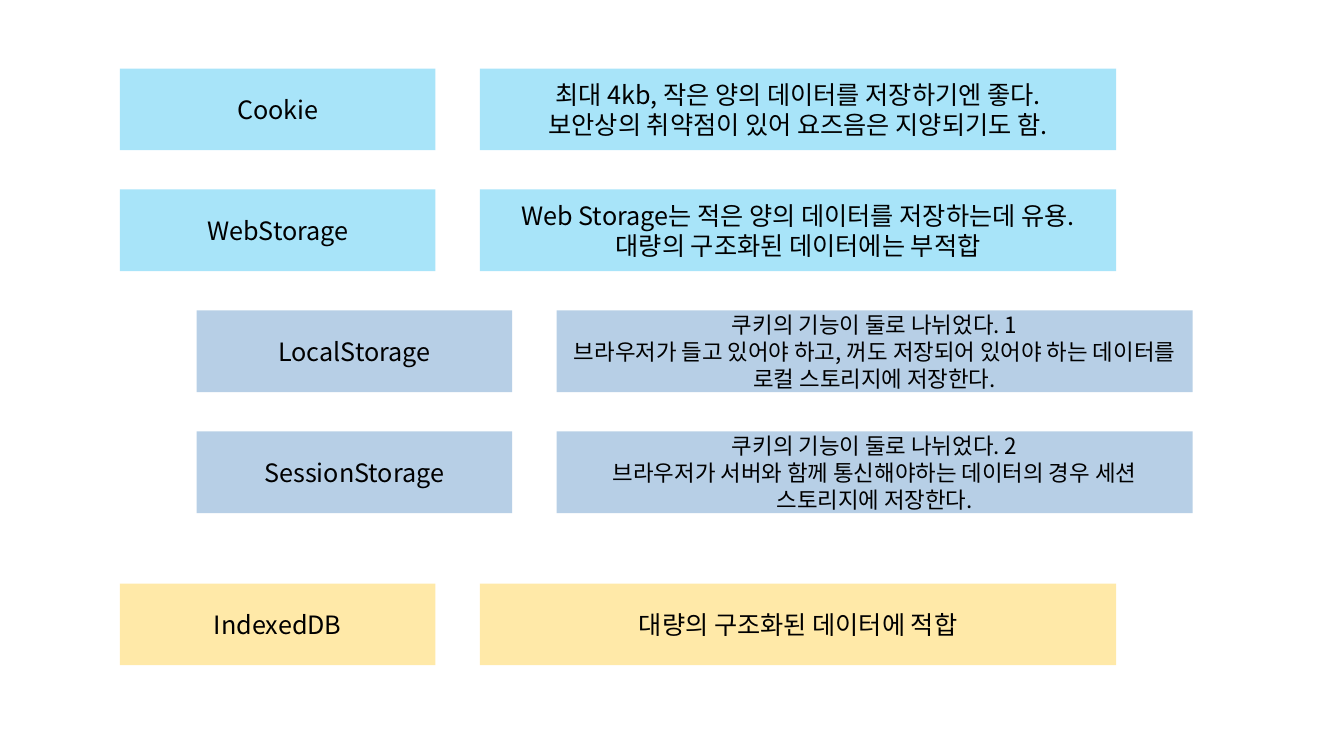
import pptx
import pptx.util
import pptx.dml.color
import pptx.enum.shapes
import pptx.enum.text
import pptx.oxml.ns
from dataclasses import dataclass
from lxml import etree
from pptx.util import Inches


@dataclass(frozen=True)
class Theme:
    font: str = "Noto Sans CJK KR"
    text: str = "000000"
    basic: str = "00B0F0"
    web: str = "2E75B6"
    database: str = "FFC000"
    alpha: int = 34
    body: int = 18
    small: int = 16


THEME = Theme()
NAME_WIDTH, NOTE_WIDTH, ROW_HEIGHT = 3.13, 6.31, 0.81
COLUMN_GAP, ROW_PITCH, INDENT = 0.44, 1.2, 0.76
LEFT, TOP, DATABASE_TOP = 1.19, 0.68, 5.79


def rgb(value):
    return pptx.dml.color.RGBColor.from_string(value)


def add_child(parent, tag, **attributes):
    child = etree.SubElement(parent, pptx.oxml.ns.qn(tag))
    for key, value in attributes.items():
        child.set(key, str(value))


def add_box(slide, box, paragraphs, color, size):
    sp = slide.shapes.add_shape(
        pptx.enum.shapes.MSO_SHAPE.RECTANGLE, *map(Inches, box))
    sp.shadow.inherit = False
    sp.line.fill.background()
    sp.fill.solid()
    sp.fill.fore_color.rgb = rgb(color)
    fill = sp._element.spPr.find(pptx.oxml.ns.qn("a:solidFill"))
    add_child(fill[0], "a:alpha", val=THEME.alpha * 1000)
    tf = sp.text_frame
    tf.word_wrap = True
    tf.vertical_anchor = pptx.enum.text.MSO_ANCHOR.MIDDLE
    font_format = {"name": THEME.font, "size": pptx.util.Pt(size)}
    for i, text in enumerate(paragraphs):
        p = tf.add_paragraph() if i else tf.paragraphs[0]
        p.text = text
        p.alignment = pptx.enum.text.PP_ALIGN.CENTER
        for r in p.runs:
            for key, value in font_format.items():
                setattr(r.font, key, value)
            r.font.color.rgb = rgb(THEME.text)
            add_child(r.font._element, "a:ea", typeface=THEME.font)


def add_storage_row(slide, box, name, notes, color, note_size):
    left, top, width, height = box
    note_left = left + NAME_WIDTH + COLUMN_GAP
    note_width = width - NAME_WIDTH - COLUMN_GAP
    add_box(slide, (left, top, NAME_WIDTH, height), [name], color, THEME.body)
    add_box(slide, (note_left, top, note_width, height), notes, color, note_size)


def add_storage_slide(prs):
    slide = prs.slides.add_slide(prs.slide_layouts[6])
    rows = [
        ("Cookie", ["최대 4kb, 작은 양의 데이터를 저장하기엔 좋다.",
                    "보안상의 취약점이 있어 요즈음은 지양되기도 함."],
         THEME.basic, THEME.body, 0),
        ("WebStorage", ["Web Storage는 적은 양의 데이터를 저장하는데 유용.\v"
                        "대량의 구조화된 데이터에는 부적합"],
         THEME.basic, THEME.body, 0),
        ("LocalStorage", ["쿠키의 기능이 둘로 나뉘었다. 1",
                          "브라우저가 들고 있어야 하고, 꺼도 저장되어 있어야 하는 "
                          "데이터를 로컬 스토리지에 저장한다."],
         THEME.web, THEME.small, INDENT),
        ("SessionStorage", ["쿠키의 기능이 둘로 나뉘었다. 2",
                            "브라우저가 서버와 함께 통신해야하는 데이터의 경우 세션 "
                            "스토리지에 저장한다."],
         THEME.web, THEME.small, INDENT),
    ]
    width = NAME_WIDTH + COLUMN_GAP + NOTE_WIDTH
    for i, (name, notes, color, size, indent) in enumerate(rows):
        box = (LEFT + indent, TOP + i * ROW_PITCH, width, ROW_HEIGHT)
        add_storage_row(slide, box, name, notes, color, size)
    add_storage_row(slide, (LEFT, DATABASE_TOP, width, ROW_HEIGHT), "IndexedDB",
                    ["대량의 구조화된 데이터에 적합"], THEME.database, THEME.body)


prs = pptx.Presentation()
prs.slide_width, prs.slide_height = Inches(13.33), Inches(7.5)
add_storage_slide(prs)
prs.save("out.pptx")
